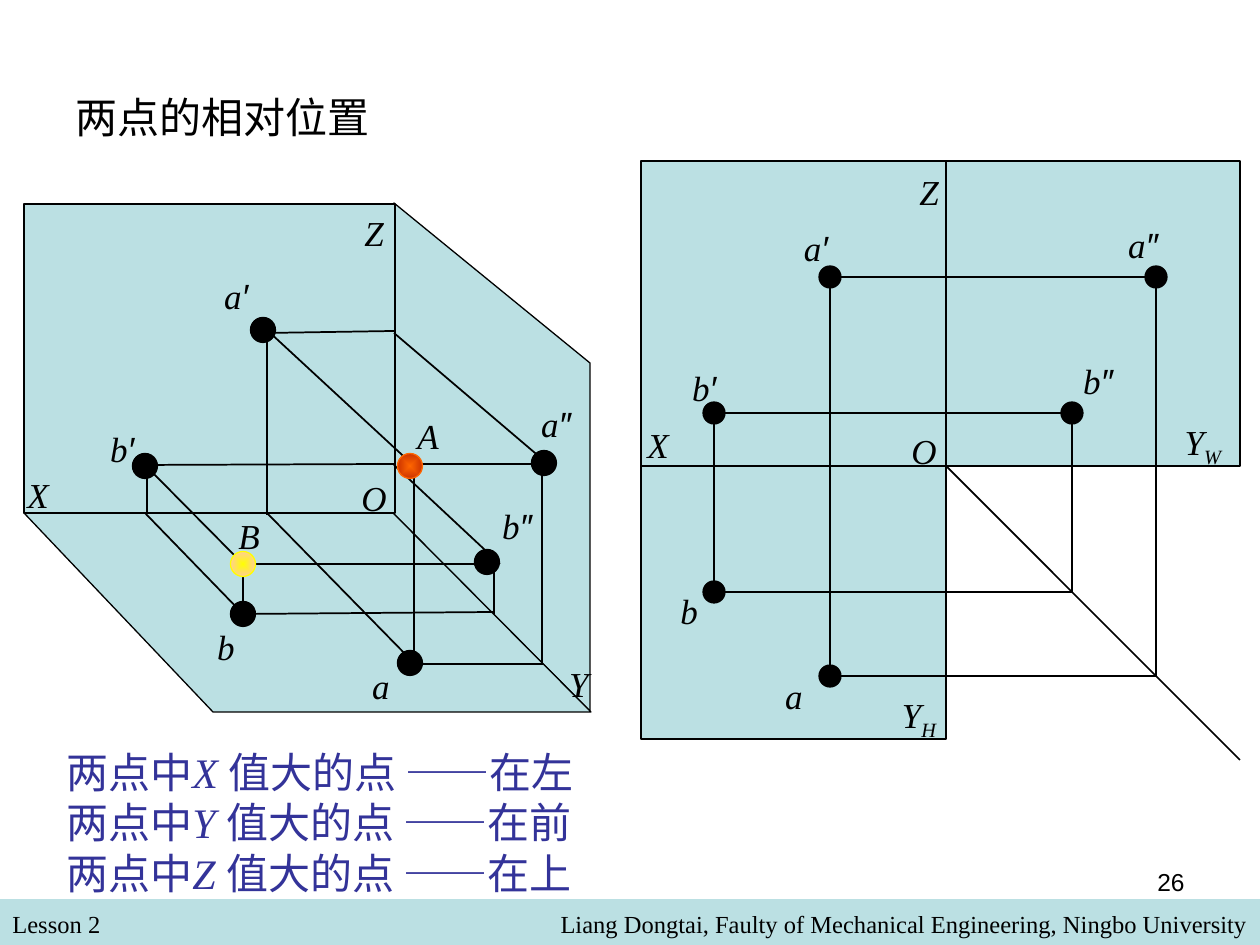
from pptx import Presentation
from pptx import util as u
from pptx.dml.color import RGBColor
from pptx.enum import shapes, text
from pptx.oxml import parse_xml
from pptx.oxml.ns import nsdecls, qn

PX = u.Inches(1) / 126
THEME = {
    "plane": RGBColor.from_string("BBE0E3"),
    "ink": RGBColor.from_string("000000"),
    "rule": RGBColor.from_string("333399"),
    "A": ("FF6600", "CC3300"),
    "B": ("FFFF00", "FFCC99"),
    "latin": "Times New Roman", "prime": "Arial", "cjk": "Noto Sans CJK SC",
    "heading": u.Pt(24), "label": u.Pt(20), "small": u.Pt(14),
    "thin": u.Pt(0.75), "line": u.Pt(1),
}


def px(*lengths):
    return [u.Emu(round(length * PX)) for length in lengths]


def add_span(para, words, font, size, color, italic=False):
    span = para.add_run()
    span.text = words
    span.font.name, span.font.size, span.font.italic = font, size, italic
    span.font.color.rgb = color
    if font == THEME["cjk"]:
        span.font._element.append(parse_xml(f'<a:ea {nsdecls("a")} typeface="{font}"/>'))
    return span


deck = Presentation()
deck.slide_width, deck.slide_height = px(1260, 945)
page = deck.slides.add_slide(deck.slide_layouts[5])
ink = THEME["ink"]

# Title
title = page.shapes.title
title.left, title.top, title.width, title.height = px(63, 38, 1134, 157)
title.text_frame.vertical_anchor = text.MSO_ANCHOR.MIDDLE
para = title.text_frame.paragraphs[0]
para.alignment = text.PP_ALIGN.LEFT
add_span(para, "两点的相对位置", THEME["cjk"], THEME["heading"], ink)

# Footer band and projection planes
band = page.shapes.add_shape(shapes.MSO_SHAPE.RECTANGLE, *px(0, 899, 1260, 46))
outlines = [
    [(394, 203), (590, 363), (590, 711), (393, 513)],
    [(24, 513), (213, 712), (591, 712), (393, 513)],
]
walls = [(24, 204, 371, 309), (641, 161, 305, 578), (946, 161, 294, 305)]
planes = []
for start, *corners in outlines:
    builder = page.shapes.build_freeform(*start, scale=PX)
    builder.add_line_segments(corners, close=True)
    planes.append(builder.convert_to_shape())
for wall in walls:
    planes.append(page.shapes.add_shape(shapes.MSO_SHAPE.RECTANGLE, *px(*wall)))
for plane in [band, *planes]:
    plane.shadow.inherit = False
    plane.fill.solid()
    plane.fill.fore_color.rgb = THEME["plane"]
    plane.line.color.rgb = ink
    plane.line.width = THEME["thin"]
band.line.fill.background()

# Projection lines: spatial view on the left, unfolded view on the right
thin_lines = [(494, 564, 494, 614), (946, 466, 641, 466)]
lines = [
    (542, 663, 542, 464), (414, 464, 548, 464), (267, 333, 394, 331),
    (411, 664, 543, 664), (548, 464, 394, 333), (267, 330, 267, 515),
    (267, 513, 414, 663), (414, 663, 414, 454), (413, 465, 267, 330),
    (147, 464, 147, 513), (243, 564, 243, 614), (145, 513, 243, 614),
    (243, 614, 493, 612), (145, 465, 394, 464), (394, 465, 500, 564),
    (499, 564, 243, 564), (243, 564, 145, 465),
    (946, 466, 1240, 760),
]
dots = [(x, y, 25, None) for x, y in
        [(544, 463), (410, 663), (263, 330), (243, 614), (487, 562), (145, 466)]]
for x, front, plan in [(830, 277, 676), (714, 413, 592)]:
    side = 946 + plan - 466  # the 45° line carries depth to the side view
    lines += [(x, front, side, front), (side, front, side, plan),
              (side, plan, x, plan), (x, plan, x, front)]
    dots += [(x, front, 22, None), (side, front, 22, None), (x, plan, 22, None)]
dots += [(243, 564, 25, "B"), (410, 466, 25, "A")]

for width, group in [(THEME["thin"], thin_lines), (THEME["line"], lines)]:
    for ends in group:
        line = page.shapes.add_connector(shapes.MSO_CONNECTOR.STRAIGHT, *px(*ends))
        line.line.color.rgb = ink
        line.line.width = width
        line._element.spPr.append(parse_xml(f'<a:effectLst {nsdecls("a")}/>'))

for x, y, size, point in dots:
    dot = page.shapes.add_shape(shapes.MSO_SHAPE.OVAL,
                                *px(x - size / 2, y - size / 2, size, size))
    dot.shadow.inherit = False
    dot.line.width = THEME["thin"]
    if point is None:
        dot.fill.solid()
        dot.fill.fore_color.rgb = dot.line.color.rgb = ink
        continue
    dot.line.color.rgb = RGBColor.from_string(THEME[point][0])
    dot.fill.gradient()
    for stop, position, color in zip(dot.fill.gradient_stops, (0, 1), THEME[point]):
        stop.position = position
        stop.color.rgb = RGBColor.from_string(color)
    gradient = dot._element.spPr.find(qn("a:gradFill"))
    gradient.replace(gradient.find(qn("a:lin")), parse_xml(
        f'<a:path {nsdecls("a")} path="rect">'
        '<a:fillToRect l="50000" t="50000" r="50000" b="50000"/></a:path>'))

# Labels: letter, prime or subscript, centre x, top
labels = [
    ("X", "", 38, 467), ("O", "", 372, 470), ("Z", "", 374, 205), ("Y", "", 579, 656),
    ("a", "″ ", 561, 396), ("a", "′ ", 241, 268), ("a", "", 381, 658),
    ("b", "″ ", 522, 498), ("b", "′ ", 127, 421), ("b", "", 226, 619),
    ("X", "", 658, 417), ("Z", "", 929, 164), ("O", "", 922, 423),
    ("Y", "W", 1203, 417), ("Y", "H", 919, 690),
    ("a", "′", 816, 220), ("a", "″ ", 1148, 217), ("a", "", 794, 668),
    ("b", "′ ", 709, 360), ("b", "″ ", 1103, 353), ("b", "", 689, 583),
    ("B", "", 249, 508), ("A", "", 428, 408),
]
for letter, mark, center, top in labels:
    width = 66 if mark else 46
    box = page.shapes.add_textbox(*px(center - width / 2, top, width, 55))
    box.text_frame.word_wrap = False
    box.text_frame.vertical_anchor = text.MSO_ANCHOR.MIDDLE
    para = box.text_frame.paragraphs[0]
    para.alignment = text.PP_ALIGN.CENTER
    add_span(para, letter, THEME["latin"], THEME["label"], ink, True)
    if mark:
        subscript = mark in "WH"
        font = THEME["latin"] if subscript else THEME["prime"]
        span = add_span(para, mark, font, THEME["label"], ink, True)
        if subscript:
            span.font._element.set("baseline", "-25000")

# Rules for comparing coordinates
box = page.shapes.add_textbox(*px(54, 740, 615, 164))
box.text_frame.word_wrap = True
box.text_frame.vertical_anchor = text.MSO_ANCHOR.MIDDLE
for index, (axis, place) in enumerate([("X", "左"), ("Y", "前"), ("Z", "上")]):
    para = box.text_frame.add_paragraph() if index else box.text_frame.paragraphs[0]
    para.line_spacing = u.Pt(28.8)
    for words, font in [("两点中", THEME["cjk"]), (f"{axis} ", THEME["latin"]),
                        (f"值大的点 ——在{place}", THEME["cjk"])]:
        add_span(para, words, font, THEME["heading"], THEME["rule"], font == THEME["latin"])

# Footer texts and page number
footers = [
    ("Lesson 2", (0, 903, 609, 43), text.PP_ALIGN.LEFT, THEME["latin"]),
    ("Liang Dongtai, Faulty of Mechanical Engineering, Ningbo University",
     (231, 903, 1029, 43), text.PP_ALIGN.RIGHT, THEME["latin"]),
    ("26", (903, 861, 294, 66), text.PP_ALIGN.RIGHT, THEME["prime"]),
]
for words, place, alignment, font in footers:
    box = page.shapes.add_textbox(*px(*place))
    box.text_frame.word_wrap = True
    para = box.text_frame.paragraphs[0]
    para.alignment = alignment
    add_span(para, words, font, THEME["small"], ink)

deck.save("out.pptx")
